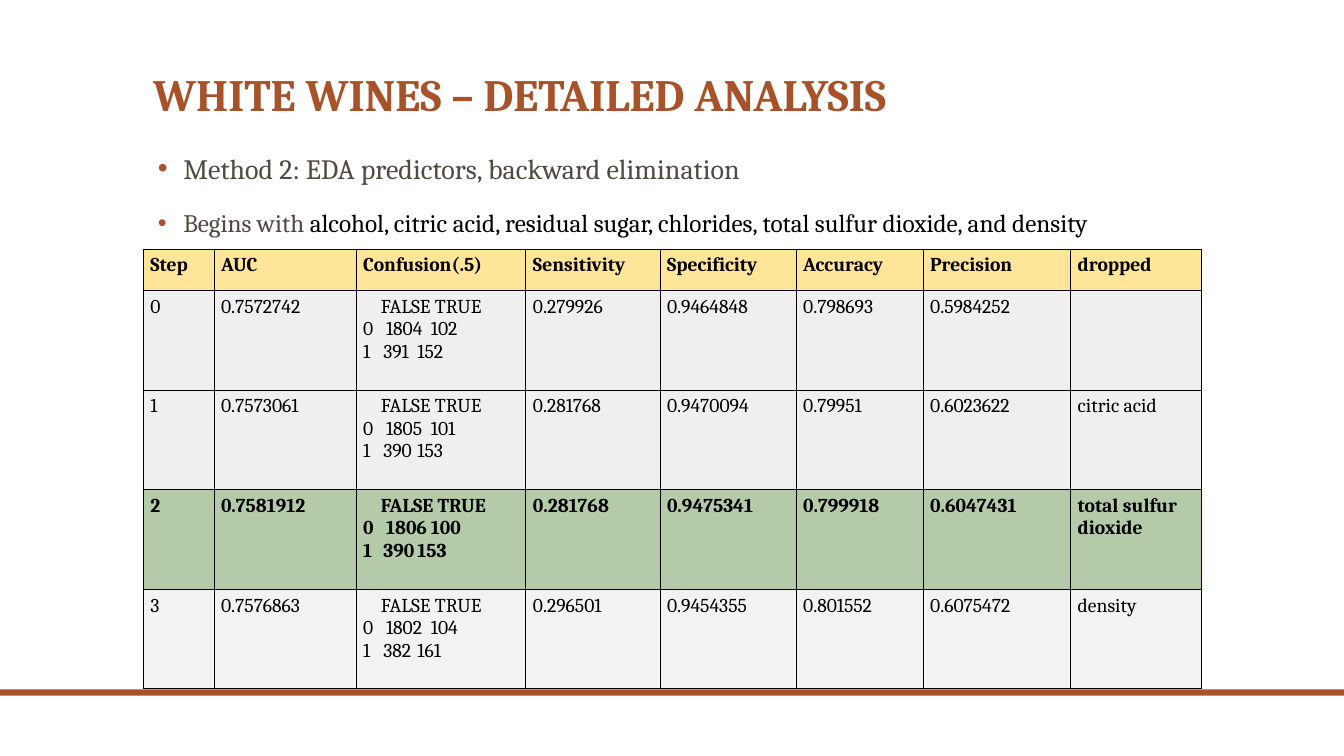
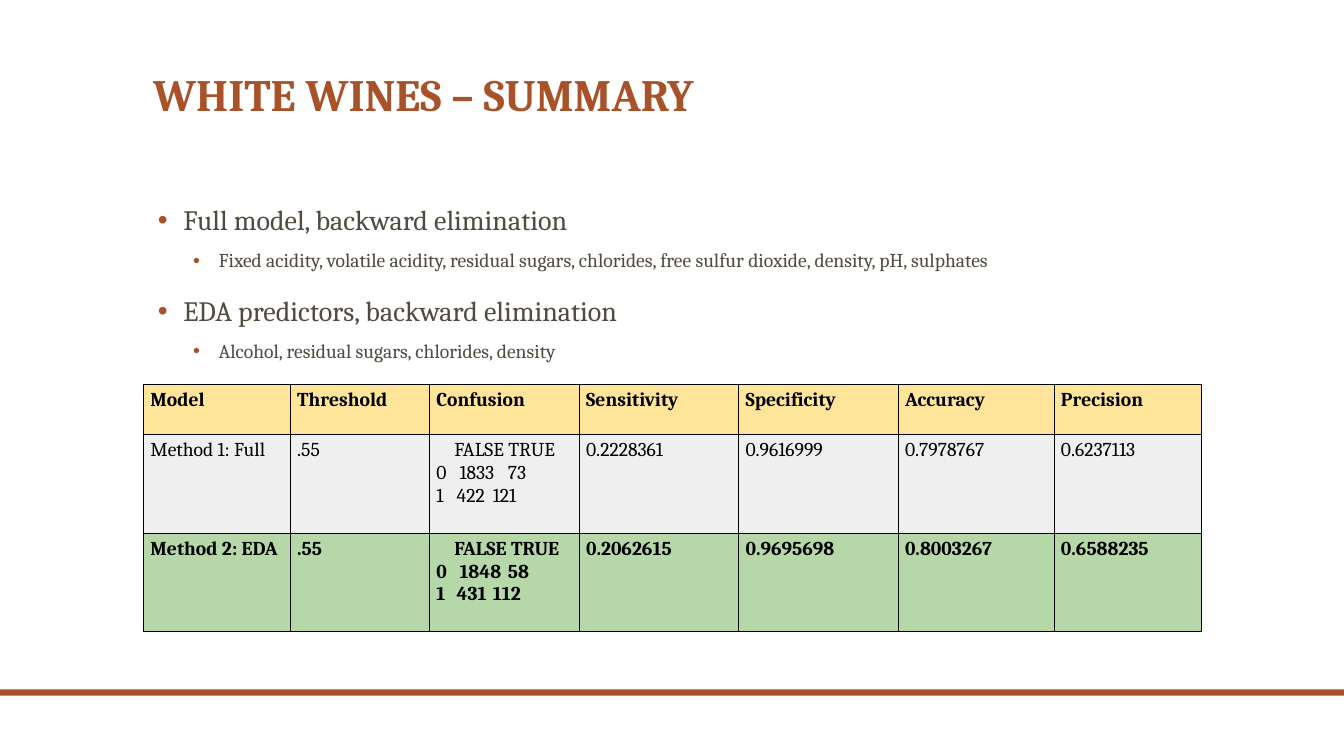
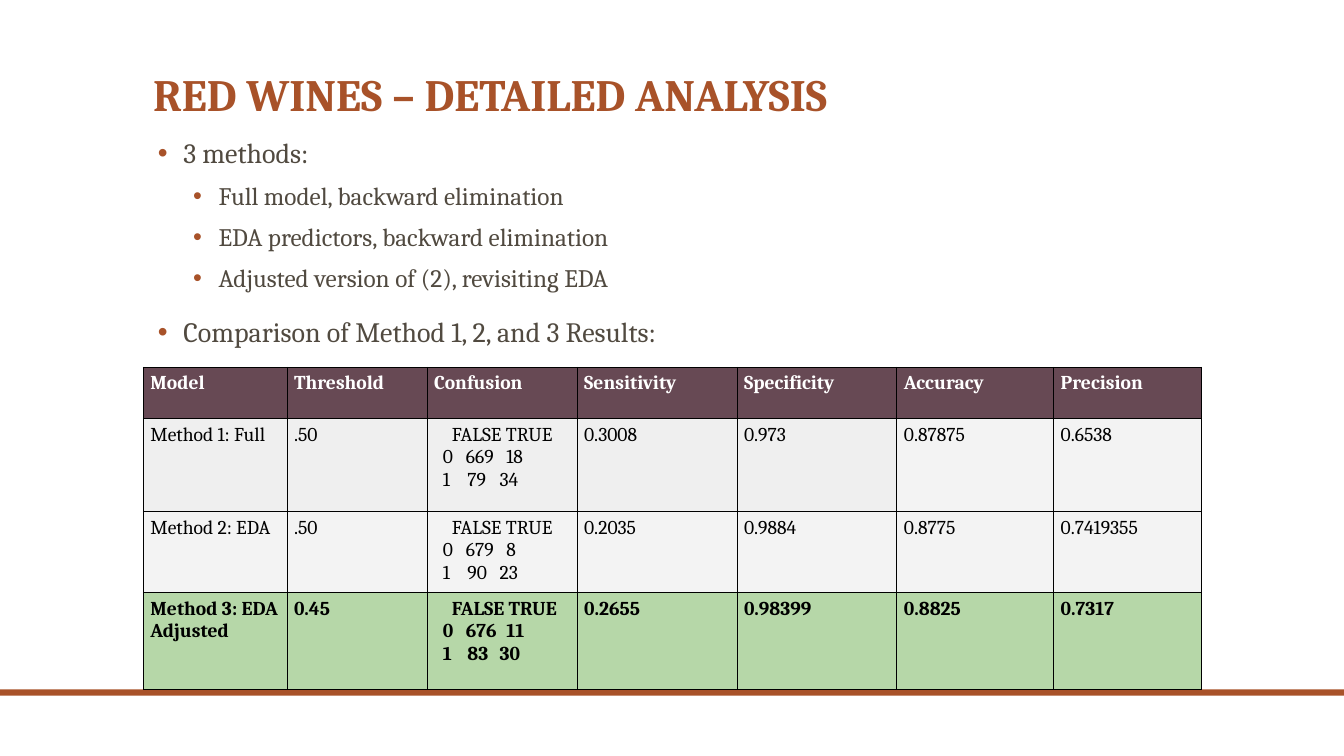
"""Build three wine model slides, each with a title, bullets and a results table."""
import pptx
import pptx.dml.color
import pptx.enum.shapes
import pptx.enum.text
import pptx.oxml
import pptx.oxml.ns
import pptx.util
from pptx.util import Cm, Pt

FONT = "Cambria"
RUST, TEXT, BLACK, WHITE = "A85229", "514A40", "000000", "FFFFFF"
YELLOW, PLUM, GREY, PALE = "FFE599", "674954", "EFEFEF", "F3F3F3"
SAGE, GREEN = "B4CAA9", "B6D7A8"
BEST_FILLS = (SAGE, GREEN)
LEFT, WIDTH = 3.61, 26.67
SLIDE_WIDTH, SLIDE_HEIGHT = 33.87, 19.05
LEVELS = [{"indent": 0.76, "before": 18}, {"indent": 1.65, "before": 10}]
HANGING = 0.64
SCORES = ["Sensitivity", "Specificity", "Accuracy", "Precision"]
MODEL_HEADER = ["Model", "Threshold", "Confusion", *SCORES]

SLIDES = [
    {
        "title": "WHITE WINES – DETAILED ANALYSIS",
        "body": (3.78, 12.73),
        "bullets": [
            (0, 20, [("Method 2: EDA predictors, backward elimination", TEXT)]),
            (0, 18, [("Begins with ", TEXT),
                     ("alcohol, citric acid, residual sugar, chlorides, "
                      "total sulfur dioxide, and density", BLACK)]),
        ],
        "table": {
            "top": 6.27,
            "columns": [1.78, 3.58, 4.28, 3.38, 3.43, 3.2, 3.72, 3.3],
            "heights": [1.05, 2.51, 2.51, 2.51, 2.51],
            "tabs": [(0.45,), (0.58, 1.71), (0.51, 1.37)],
            "header": (YELLOW, BLACK, ["Step", "AUC", "Confusion(.5)", *SCORES, "dropped"]),
            "rows": [
                (GREY, ["0", "0.7572742", (1804, 102, 391, 152), "0.279926",
                        "0.9464848", "0.798693", "0.5984252", ""]),
                (GREY, ["1", "0.7573061", (1805, 101, 390, 153), "0.281768",
                        "0.9470094", "0.79951", "0.6023622", "citric acid"]),
                (SAGE, ["2", "0.7581912", (1806, 100, 390, 153), "0.281768",
                        "0.9475341", "0.799918", "0.6047431", "total sulfur dioxide"]),
                ("F2F2F2", ["3", "0.7576863", (1802, 104, 382, 161), "0.296501",
                            "0.9454355", "0.801552", "0.6075472", "density"]),
            ],
        },
    },
    {
        "title": "WHITE WINES – SUMMARY",
        "body": (5.08, 11.43),
        "bullets": [
            (0, 20, [("Full model, backward elimination", TEXT)]),
            (1, 14, [("Fixed acidity, volatile acidity, residual sugars, chlorides, "
                      "free sulfur dioxide, density, pH, sulphates", TEXT)]),
            (0, 20, [("EDA predictors, backward elimination", TEXT)]),
            (1, 14, [("Alcohol, residual sugars, chlorides, density", TEXT)]),
        ],
        "table": {
            "top": 9.68,
            "columns": [3.7, 3.51, 3.77, 4.02, 4.02, 3.93, 3.72],
            "heights": [1.26, 2.49, 2.49],
            "tabs": [(0.45,), (0.58, 1.8), (0.51, 1.42)],
            "header": (YELLOW, BLACK, MODEL_HEADER),
            "rows": [
                (GREY, ["Method 1: Full", ".55", (1833, 73, 422, 121), "0.2228361",
                        "0.9616999", "0.7978767", "0.6237113"]),
                (GREEN, ["Method 2: EDA", ".55", (1848, 58, 431, 112), "0.2062615",
                         "0.9695698", "0.8003267", "0.6588235"]),
            ],
        },
    },
    {
        "title": "RED WINES – DETAILED ANALYSIS",
        "body": (3.38, 11.43),
        "bullets": [
            (0, 20, [("3 methods:", TEXT)]),
            (1, 18, [("Full model, backward elimination", TEXT)]),
            (1, 18, [("EDA predictors, backward elimination", TEXT)]),
            (1, 18, [("Adjusted version of (2), revisiting EDA", TEXT)]),
            (0, 20, [("Comparison of Method 1, 2, and 3 Results:", TEXT)]),
        ],
        "table": {
            "top": 9.25,
            "columns": [3.62, 3.53, 3.78, 4.03, 4.03, 3.95, 3.73],
            "heights": [1.29, 2.35, 1.94, 2.45],
            "tabs": [(0.45,), (0.22, 0.8, 1.82), (0.22, 0.84, 1.65)],
            "header": (PLUM, WHITE, MODEL_HEADER),
            "rows": [
                ([GREY] * 5 + [PALE] * 2,
                 ["Method 1: Full", ".50", (669, 18, 79, 34), "0.3008",
                  "0.973", "0.87875", "0.6538"]),
                (PALE, ["Method 2: EDA", ".50", (679, 8, 90, 23), "0.2035",
                        "0.9884", "0.8775", "0.7419355"]),
                (GREEN, ["Method 3: EDA Adjusted", "0.45", (676, 11, 83, 30), "0.2655",
                         "0.98399", "0.8825", "0.7317"]),
            ],
        },
    },
]


def paint(target, color):
    target.solid()
    target.fore_color.rgb = pptx.dml.color.RGBColor.from_string(color)


def style(font, size, color, bold=False):
    font.name, font.size, font.bold = FONT, Pt(size), bold
    paint(font.fill, color)


def add_element(parent, markup):
    namespace = pptx.oxml.ns.nsdecls("a")
    tag, rest = markup[:markup.index(" ")], markup[markup.index(" "):]
    parent.append(pptx.oxml.parse_xml(f"<{tag} {namespace}{rest}"))


def add_text_box(slide, top, height):
    box = slide.shapes.add_textbox(Cm(LEFT), Cm(top), Cm(WIDTH), Cm(height))
    box.text_frame.word_wrap = True
    return box.text_frame


def add_frame(slide, title):
    band = slide.shapes.add_shape(pptx.enum.shapes.MSO_SHAPE.RECTANGLE,
                                  0, Cm(17.37), Cm(SLIDE_WIDTH), Cm(0.16))
    band.shadow.inherit = False
    paint(band.fill, RUST)
    band.line.fill.background()
    frame = add_text_box(slide, 0, 3.18)
    frame.vertical_anchor = pptx.enum.text.MSO_ANCHOR.BOTTOM
    frame.text = title
    frame.paragraphs[0].line_spacing = 0.9
    style(frame.paragraphs[0].runs[0].font, 32, RUST, True)


def add_bullets(slide, place, bullets):
    frame = add_text_box(slide, *place)
    for index, (level, size, pieces) in enumerate(bullets):
        paragraph = frame.add_paragraph() if index else frame.paragraphs[0]
        paragraph.level = level
        paragraph.line_spacing = 0.9
        paragraph.space_before = Pt(LEVELS[level]["before"] if index else 0)
        properties = paragraph._p.get_or_add_pPr()
        properties.set("marL", str(Cm(LEVELS[level]["indent"])))
        properties.set("indent", str(-Cm(HANGING)))
        add_element(properties, f'a:buClr ><a:srgbClr val="{RUST}"/></a:buClr>')
        add_element(properties, 'a:buFont typeface="Arial"/>')
        add_element(properties, 'a:buChar char="•"/>')
        for text, color in pieces:
            run = paragraph.add_run()
            run.text = text
            style(run.font, size, color)


def confusion_text(counts, indented):
    lead = "\t" if indented else ""
    lines = [f"{lead}{row}\t{counts[2 * row]}\t{counts[2 * row + 1]}" for row in (0, 1)]
    return "\n".join(["\tFALSE TRUE", *lines])


def fill_cell(cell, content, fill, color, bold, tabs):
    is_matrix = isinstance(content, tuple)
    cell.margin_left = cell.margin_right = Cm(0.18)
    cell.margin_top = cell.margin_bottom = Cm(0.13)
    frame = cell.text_frame
    frame.text = confusion_text(content, len(tabs[1]) == 3) if is_matrix else content
    for paragraph, stops in zip(frame.paragraphs, tabs):
        if is_matrix:
            marks = "".join(f'<a:tab pos="{Cm(stop)}" algn="l"/>' for stop in stops)
            add_element(paragraph._p.get_or_add_pPr(), f"a:tabLst >{marks}</a:tabLst>")
        style(paragraph.font, 14, color, bold)
        for run in paragraph.runs:
            style(run.font, 14, color, bold)
    for side in "LRTB":
        add_element(cell._tc.get_or_add_tcPr(),
                    f'a:ln{side} w="{Pt(0.5)}"><a:solidFill><a:srgbClr val="{BLACK}"/>'
                    f"</a:solidFill></a:ln{side}>")
    paint(cell.fill, fill)


def add_results(slide, results):
    header_fill, header_color, header = results["header"]
    columns, heights = results["columns"], results["heights"]
    table = slide.shapes.add_table(len(heights), len(columns), Cm(LEFT), Cm(results["top"]),
                                   Cm(WIDTH), Cm(sum(heights))).table
    table.first_row = table.horz_banding = False
    for column, width in zip(table.columns, columns):
        column.width = Cm(width)
    rows = [(header_fill, header_color, True, header)]
    rows += [(fill, BLACK, fill in BEST_FILLS, values) for fill, values in results["rows"]]
    for row, height, (fill, color, bold, values) in zip(table.rows, heights, rows):
        row.height = Cm(height)
        fills = fill if isinstance(fill, list) else [fill] * len(values)
        for cell, value, cell_fill in zip(row.cells, values, fills):
            fill_cell(cell, value, cell_fill, color, bold, results["tabs"])


def main():
    presentation = pptx.Presentation()
    presentation.slide_width = Cm(SLIDE_WIDTH)
    presentation.slide_height = Cm(SLIDE_HEIGHT)
    for content in SLIDES:
        slide = presentation.slides.add_slide(presentation.slide_layouts[6])
        add_frame(slide, content["title"])
        add_bullets(slide, content["body"], content["bullets"])
        add_results(slide, content["table"])
    presentation.save("out.pptx")


if __name__ == "__main__":
    main()
